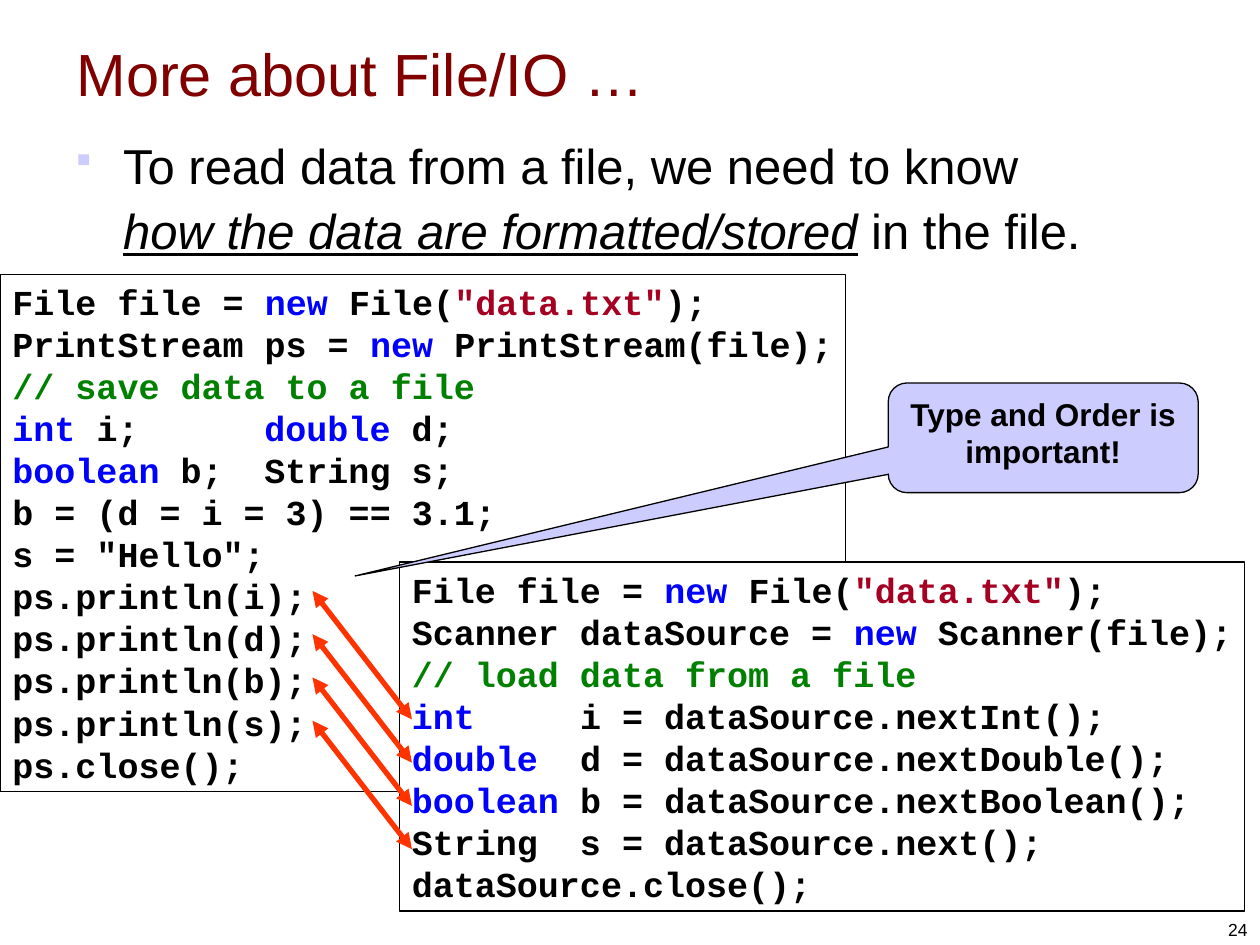
from dataclasses import dataclass
from typing import NamedTuple

from lxml import etree
from pptx import Presentation
from pptx.dml.color import RGBColor
from pptx.enum.shapes import MSO_CONNECTOR, MSO_SHAPE
from pptx.enum.text import MSO_ANCHOR, MSO_AUTO_SIZE, PP_ALIGN
from pptx.oxml.ns import qn
from pptx.util import Inches, Pt

STRAIGHT = MSO_CONNECTOR.STRAIGHT
RECTANGLE, CALLOUT = MSO_SHAPE.RECTANGLE, MSO_SHAPE.ROUNDED_RECTANGULAR_CALLOUT
TOP, MIDDLE, BOTTOM = MSO_ANCHOR.TOP, MSO_ANCHOR.MIDDLE, MSO_ANCHOR.BOTTOM
LEFT, CENTER, RIGHT = PP_ALIGN.LEFT, PP_ALIGN.CENTER, PP_ALIGN.RIGHT
GROW, FIXED = MSO_AUTO_SIZE.SHAPE_TO_FIT_TEXT, MSO_AUTO_SIZE.NONE

BLACK, WHITE, MAROON, LAVENDER = "000000", "FFFFFF", "800000", "CCCCFF"
KEYWORD, STRING, COMMENT, ARROW = "0000FF", "A50021", "008000", "FF3300"


class Box(NamedTuple):
    left: float
    top: float
    width: float
    height: float

    def lengths(self) -> list:
        return [Inches(value) for value in self]


class Span(NamedTuple):
    text: str
    color: str = BLACK
    emphasis: bool = False


@dataclass
class Style:
    size: float
    font: str = "Arial"
    bold: bool = False
    align: PP_ALIGN = LEFT
    anchor: MSO_ANCHOR = TOP
    wrap: bool = True
    grow: bool = False
    margin_right: float = 0.1


@dataclass
class CodePanel:
    box: Box
    lines: list
    fill: str = ""


TITLE = Style(34, anchor=MIDDLE)
BODY = Style(28)
CODE = Style(20, "Courier New", bold=True, wrap=False, grow=True, margin_right=0.05)
REMARK = Style(18, bold=True, align=CENTER)
PAGE = Style(10, align=RIGHT, anchor=BOTTOM)


def keyword(text: str) -> Span:
    return Span(text, KEYWORD)


OPEN_FILE = [Span("File file = "), keyword("new"), Span(" File("),
             Span('"data.txt"', STRING), Span(");")]

SAVING = CodePanel(Box(0, 2.18, 6.71, 4.1), [
    OPEN_FILE,
    [Span("PrintStream ps = "), keyword("new"), Span(" PrintStream(file);")],
    [Span("// save data to a file", COMMENT)],
    [keyword("int"), Span(" i;\t"), keyword("double"), Span(" d;")],
    [keyword("boolean"), Span(" b;\tString s;")],
    [Span("b = (d = i = 3) == 3.1;")],
    [Span('s = "Hello";')],
    *[[Span(f"ps.println({variable});")] for variable in "idbs"],
    [Span("ps.close();")],
])

LOADING = CodePanel(Box(3.17, 4.46, 6.71, 2.77), [
    OPEN_FILE,
    [Span("Scanner dataSource = "), keyword("new"), Span(" Scanner(file);")],
    [Span("// load data from a file", COMMENT)],
    [keyword("int"), Span("     i = dataSource.nextInt();")],
    [keyword("double"), Span("  d = dataSource.nextDouble();")],
    [keyword("boolean"), Span(" b = dataSource.nextBoolean();")],
    [Span("String  s = dataSource.next();")],
    [Span("dataSource.close();")],
], WHITE)


def rgb(value: str) -> RGBColor:
    return RGBColor.from_string(value)


def apply(target, values: dict) -> None:
    for name, value in values.items():
        setattr(target, name, value)


def write_spans(paragraph, spans: list, style: Style) -> None:
    for span in spans:
        if span.text == "\n":
            paragraph.add_line_break()
            continue
        run = paragraph.add_run()
        run.text = span.text
        apply(run.font, {"name": style.font, "size": Pt(style.size), "bold": style.bold,
                         "italic": span.emphasis, "underline": span.emphasis})
        run.font.color.rgb = rgb(span.color)


def write_lines(shape, lines: list, style: Style) -> None:
    frame = shape.text_frame
    apply(frame, {"word_wrap": style.wrap, "vertical_anchor": style.anchor,
                  "auto_size": GROW if style.grow else FIXED,
                  "margin_right": Inches(style.margin_right)})
    for number, spans in enumerate(lines):
        paragraph = frame.add_paragraph() if number else frame.paragraphs[0]
        paragraph.alignment = style.align
        write_spans(paragraph, spans, style)


def add_text(slide, box: Box, spans: list, style: Style):
    label = slide.shapes.add_textbox(*box.lengths())
    write_lines(label, [spans], style)
    return label.text_frame.paragraphs[0]


def add_outlined(slide, kind: MSO_SHAPE, box: Box, fill: str):
    shape = slide.shapes.add_shape(kind, *box.lengths())
    shape.shadow.inherit = False
    if fill:
        shape.fill.solid()
        shape.fill.fore_color.rgb = rgb(fill)
    else:
        shape.fill.background()
    shape.line.color.rgb = rgb(BLACK)
    shape.line.width = Pt(0.75)
    return shape


def add_code(slide, panel: CodePanel) -> None:
    shape = add_outlined(slide, RECTANGLE, panel.box, panel.fill)
    write_lines(shape, panel.lines, CODE)
    for paragraph in shape.text_frame.paragraphs:
        if "\t" in paragraph.text:
            tabs = etree.SubElement(paragraph._p.get_or_add_pPr(), qn("a:tabLst"))
            etree.SubElement(tabs, qn("a:tab"), pos=str(Inches(2)), algn="l")


def add_bullet(paragraph, char: str, color: str, indent: float) -> None:
    properties = paragraph._p.get_or_add_pPr()
    properties.set("marL", str(Inches(indent)))
    properties.set("indent", str(-Inches(indent)))
    bullet_color = etree.SubElement(properties, qn("a:buClr"))
    etree.SubElement(bullet_color, qn("a:srgbClr"), val=color)
    etree.SubElement(properties, qn("a:buSzPct"), val="75000")
    etree.SubElement(properties, qn("a:buFont"), typeface="Wingdings", charset="2")
    etree.SubElement(properties, qn("a:buChar"), char=char)


def add_double_arrow(shapes, start: tuple, end: tuple) -> None:
    arrow = shapes.add_connector(STRAIGHT, *[Inches(value) for value in start + end])
    arrow.line.color.rgb = rgb(ARROW)
    arrow.line.width = Pt(3)
    line = arrow.line._get_or_add_ln()
    for tip in ("a:headEnd", "a:tailEnd"):
        etree.SubElement(line, qn(tip), type="triangle")
    etree.SubElement(arrow._element.spPr, qn("a:effectLst"))


def main() -> None:
    deck = Presentation()
    apply(deck, {"slide_width": Inches(10), "slide_height": Inches(7.5)})
    slide = deck.slides.add_slide(deck.slide_layouts[6])

    add_text(slide, Box(0.51, 0.18, 9, 0.8), [Span("More about File/IO …", MAROON)], TITLE)
    advice = add_text(slide, Box(0.5, 0.98, 9.33, 6.18), [
        Span("To read data from a file, we need to know "), Span("\n"),
        Span("how the data are formatted/stored", emphasis=True), Span(" in the file."),
    ], BODY)
    add_bullet(advice, "§", LAVENDER, 0.38)
    advice.line_spacing = 1.1

    for panel in (SAVING, LOADING):
        add_code(slide, panel)

    matches = slide.shapes.add_group_shape().shapes
    for row in range(4):
        top = 4.69 + row * 1.03 / 3
        add_double_arrow(matches, (2.48, top), (3.27, top + 1.02))

    remark = add_outlined(slide, CALLOUT, Box(7.05, 3.04, 2.46, 0.87), LAVENDER)
    for index, value in enumerate((-2.22, 1.26, 0.17)):
        remark.adjustments[index] = value
    write_lines(remark, [[Span("Type and Order is important!")]], REMARK)

    add_text(slide, Box(7.67, 7.01, 2.33, 0.5), [Span("24")], PAGE)
    deck.save("out.pptx")


if __name__ == "__main__":
    main()
